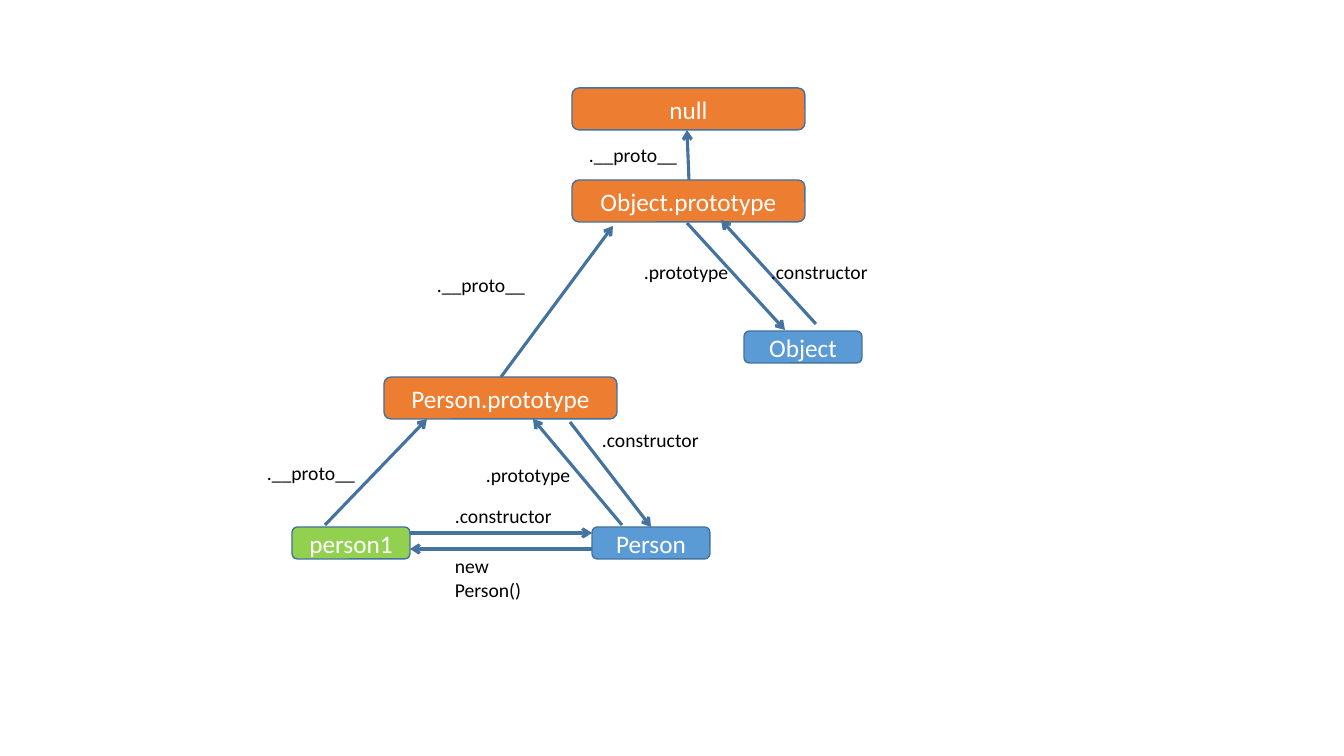
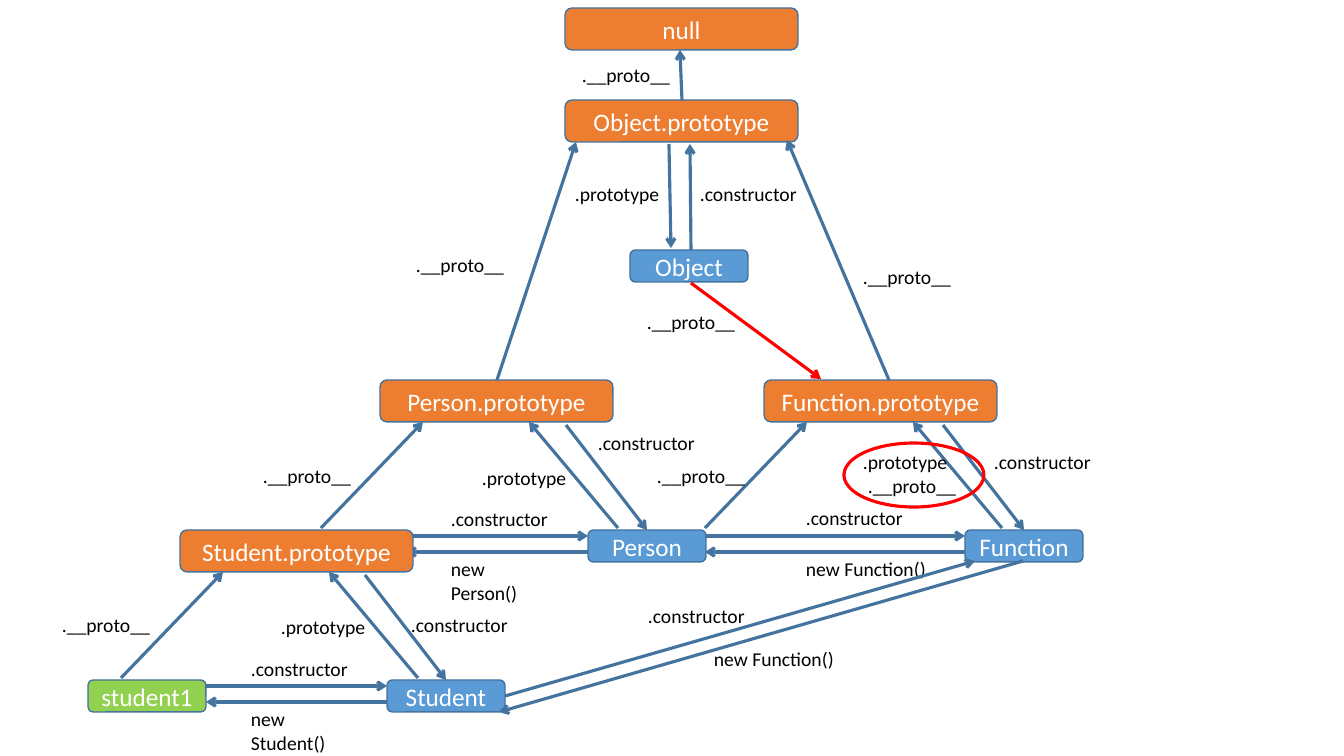
from lxml import etree
from pptx import Presentation
from pptx import util as u
from pptx.dml.color import RGBColor
from pptx.enum import shapes, text
from pptx.oxml.ns import qn

PX = 914400 / 100.8  # EMU in one px
FONT = "Calibri"
COLORS = {
    "prototype": "ED7D31",
    "constructor": "5B9BD5",
    "instance": "92D050",
    "link": "43739E",
    "highlight": "FF0000",
    "box text": "FFFFFF",
    "label text": "000000",
}
BOX_SIZES = {"prototype": (233, 42), "constructor": (118, 32), "instance": (118, 32)}
LABEL_HEIGHT = 34
LABEL_WIDTHS = {
    ".__proto__": 108,
    ".prototype": 105,
    ".constructor": 117,
    "new Person()": 122,
    "new Student()": 130,
    "new Function()": 140,
}
WRAPPED_LABELS = ("new Person()", "new Student()")


def class_triangle(x, y, name, instance, left, right, label_offsets):
    """Parts around a prototype box at x, y; left and right bound the level links."""
    parts = [
        ("box", "prototype", f"{name}.prototype", x, y),
        ("box", "constructor", name, x + right, y + 150),
    ]
    if instance:
        parts.append(("box", "instance", instance, x - 92, y + 150))
    parts += [
        ("arrow", "link", x + right, y + 172, x + left, y + 172),
        ("arrow", "link", x + left, y + 156, x + right, y + 156),
        ("arrow", "link", x - 59, y + 148, x + 43, y + 42),
        ("arrow", "link", x + 238, y + 148, x + 149, y + 42),
        ("arrow", "link", x + right - 22, y + 45, x + right + 59, y + 150),
    ]
    names = (f"new {name}()", ".constructor", ".__proto__", ".prototype", ".constructor")
    for label, (dx, dy) in zip(names, label_offsets):
        parts.append(("label", label, x + dx, y + dy))
    return parts


def chain_top(x, y):
    """Object.prototype at x, y with null above it."""
    return [
        ("box", "prototype", "Object.prototype", x, y),
        ("box", "prototype", "null", x, y - 92),
        ("arrow", "link", x + 117, y, x + 115, y - 50),
        ("label", ".__proto__", x + 7, y - 42),
    ]


# Label offsets: new, level constructor, __proto__, prototype, slanted constructor
PERSON_LABELS = [(61, 172), (61, 122), (-127, 79), (92, 81), (208, 46)]
STUDENT_LABELS = [(61, 172), (61, 122), (-128, 78), (91, 80), (221, 78)]
FUNCTION_LABELS = [(32, 172), (32, 121), (-117, 79), (89, 65), (220, 65)]

# Slide 1: one class
person_chain = [
    *class_triangle(384, 377, "Person", "person1", 26, 208, PERSON_LABELS),
    *chain_top(572, 180),
    ("box", "constructor", "Object", 744, 331),
    ("arrow", "link", 501, 377, 613, 226),
    ("arrow", "link", 816, 324, 721, 220),
    ("arrow", "link", 687, 223, 785, 330),
    ("label", ".__proto__", 427, 268),
    ("label", ".prototype", 634, 255),
    ("label", ".constructor", 761, 255),
]

# Slide 2: inheritance and Function
student_chain = [
    *class_triangle(380, 380, "Person", "", 26, 208, PERSON_LABELS),
    *class_triangle(764, 380, "Function", "", -59, 201, FUNCTION_LABELS),
    *chain_top(565, 100),
    ("box", "constructor", "Object", 630, 250),
    ("arrow", "link", 497, 380, 576, 142),
    ("arrow", "link", 691, 250, 690, 144),
    ("arrow", "link", 669, 144, 671, 248),
    ("arrow", "link", 889, 380, 787, 140),
    ("arrow", "highlight", 691, 283, 821, 379),
    ("label", ".__proto__", 406, 248),
    ("label", ".prototype", 565, 177),
    ("label", ".constructor", 690, 177),
    ("label", ".__proto__", 853, 260),
    ("label", ".__proto__", 637, 305),
    ("label", ".__proto__", 858, 469),
    ("ring", "highlight", 844, 443, 140, 64),
    *class_triangle(180, 530, "Student", "student1", 26, 207, STUDENT_LABELS),
    ("arrow", "link", 1023, 561, 499, 712),
    ("arrow", "link", 505, 696, 975, 561),
    ("label", "new Function()", 704, 642),
    ("label", ".constructor", 638, 599),
]

presentation = Presentation()
presentation.slide_width = round(1344 * PX)
presentation.slide_height = round(756 * PX)

for parts in (person_chain, student_chain):
    slide = presentation.slides.add_slide(presentation.slide_layouts[6])
    for kind, *details in parts:
        # Arrows
        if kind == "arrow":
            color, *ends = details
            arrow = slide.shapes.add_connector(
                shapes.MSO_CONNECTOR.STRAIGHT, *(round(end * PX) for end in ends))
            arrow.line.color.rgb = RGBColor.from_string(COLORS[color])
            arrow.line.width = u.Pt(2.25)
            line = arrow.line._get_or_add_ln()
            etree.SubElement(line, qn("a:tailEnd"), type="arrow")
            etree.SubElement(arrow._element.spPr, qn("a:effectLst"))
            continue

        # Highlight ring
        if kind == "ring":
            color, *frame = details
            ring = slide.shapes.add_shape(
                shapes.MSO_SHAPE.OVAL, *(round(length * PX) for length in frame))
            ring.shadow.inherit = False
            ring.fill.background()
            ring.line.color.rgb = RGBColor.from_string(COLORS[color])
            ring.line.width = u.Pt(2.25)
            continue

        # Boxes and labels
        if kind == "box":
            role, words, x, y = details
            frame = [round(length * PX) for length in (x, y, *BOX_SIZES[role])]
            shape = slide.shapes.add_shape(shapes.MSO_SHAPE.ROUNDED_RECTANGLE, *frame)
            shape.shadow.inherit = False
            shape.fill.solid()
            shape.fill.fore_color.rgb = RGBColor.from_string(COLORS[role])
            shape.line.color.rgb = RGBColor.from_string(COLORS["link"])
            shape.line.width = u.Pt(1)
            shape.text_frame.vertical_anchor = text.MSO_ANCHOR.MIDDLE
            shape.text_frame.word_wrap = True
            alignment, size = text.PP_ALIGN.CENTER, 18
        else:
            words, x, y = details
            frame = [round(length * PX) for length in (x, y, LABEL_WIDTHS[words], LABEL_HEIGHT)]
            shape = slide.shapes.add_textbox(*frame)
            shape.text_frame.word_wrap = words in WRAPPED_LABELS
            shape.text_frame.auto_size = text.MSO_AUTO_SIZE.SHAPE_TO_FIT_TEXT
            alignment, size = text.PP_ALIGN.LEFT, 14
        paragraph = shape.text_frame.paragraphs[0]
        paragraph.alignment = alignment
        run = paragraph.add_run()
        run.text = words
        run.font.name = FONT
        run.font.size = u.Pt(size)
        run.font.color.rgb = RGBColor.from_string(COLORS[f"{kind} text"])

presentation.save("out.pptx")
